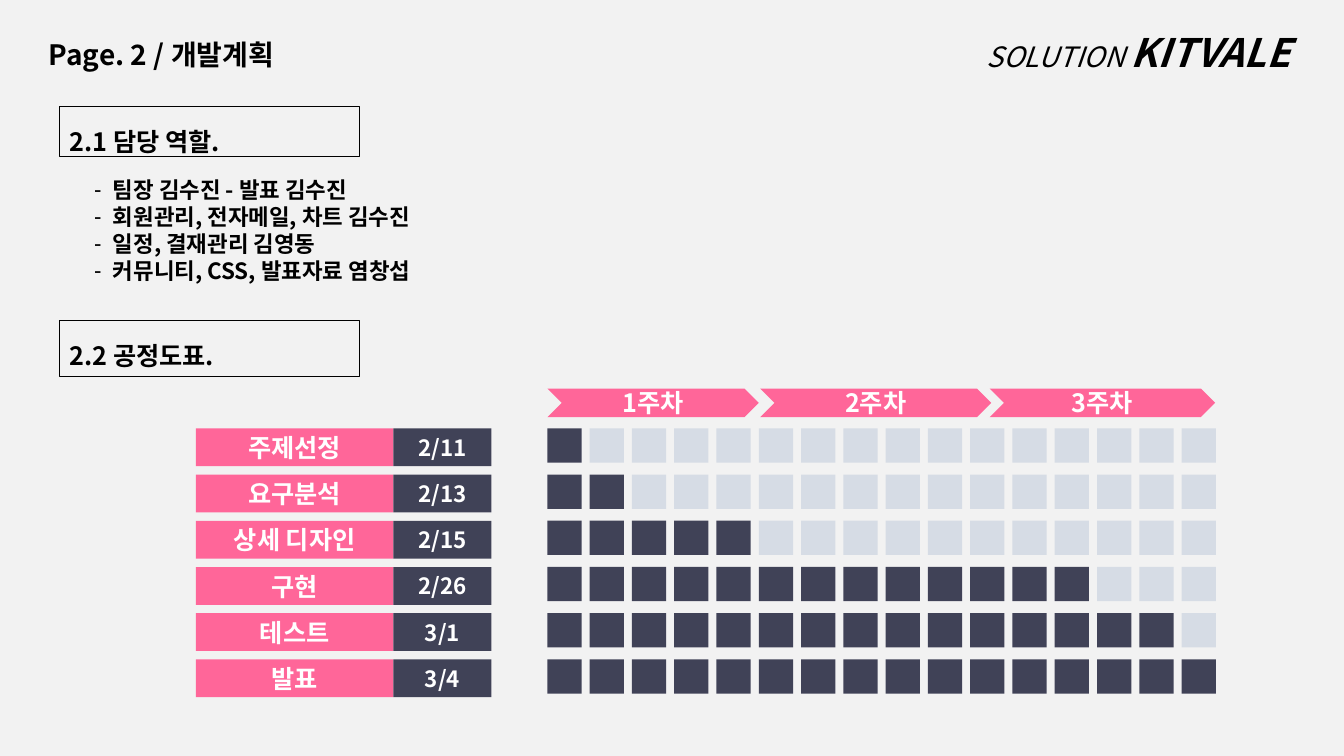
from lxml import etree
from pptx import Presentation
from pptx.dml.color import RGBColor
from pptx.enum import shapes, text
from pptx.oxml import ns
from pptx.util import Pt

FONT = "Noto Sans CJK KR"
BLACK, WHITE, PINK, NAVY, PALE = "000000", "FFFFFF", "FF6699", "404257", "D6DCE5"
CENTER, LEFT = text.PP_ALIGN.CENTER, text.PP_ALIGN.LEFT
TOP, MIDDLE = text.MSO_ANCHOR.TOP, text.MSO_ANCHOR.MIDDLE


def color(hex_code):
    return RGBColor.from_string(hex_code)


def write(frame, lines, size=18, ink=BLACK, bold=True, italic=False, align=LEFT,
          anchor=TOP, spacing=1.0, wrap=True, bullet=None, indent=13.5):
    """Fill a frame with lines; a line is a string or a list of (text, size, bold)."""
    frame.auto_size = text.MSO_AUTO_SIZE.NONE
    frame.word_wrap = wrap
    frame.vertical_anchor = anchor
    for number, line in enumerate(lines):
        para = frame.add_paragraph() if number else frame.paragraphs[0]
        para.alignment, para.line_spacing = align, spacing
        para.space_before = Pt(0)
        parts = [(line, size, bold)] if isinstance(line, str) else line
        for words, part_size, part_bold in parts:
            run = para.add_run()
            run.text = words
            font = run.font
            font.name, font.size = FONT, Pt(part_size)
            font.bold, font.italic = part_bold, italic
            font.color.rgb = color(ink)
            latin = run._r.get_or_add_rPr().find(ns.qn("a:latin"))
            east_asian = etree.Element(ns.qn("a:ea"), typeface=FONT)
            latin.addnext(east_asian)
        if bullet:
            props = para._p.get_or_add_pPr()
            props.set("marL", str(Pt(indent)))
            props.set("indent", str(-Pt(indent)))
            etree.SubElement(props, ns.qn("a:buChar"), char=bullet)


class Page:
    def __init__(self, deck, background):
        self.slide = deck.slides.add_slide(deck.slide_layouts[1])
        self.slide.background.fill.solid()
        self.slide.background.fill.fore_color.rgb = color(background)

    def placeholder(self, index, box, lines, **style):
        holder = self.slide.placeholders[index]
        holder.left, holder.top, holder.width, holder.height = map(Pt, box)
        write(holder.text_frame, lines, **style)

    def label(self, box, lines, **style):
        write(self.slide.shapes.add_textbox(*map(Pt, box)).text_frame, lines, **style)

    def block(self, box, fill=None, line=None, words=None,
              kind=shapes.MSO_SHAPE.RECTANGLE, **style):
        shape = self.slide.shapes.add_shape(kind, *map(Pt, box))
        shape.shadow.inherit = False
        if fill:
            shape.fill.solid()
            shape.fill.fore_color.rgb = color(fill)
        else:
            shape.fill.background()
        if line:
            shape.line.color.rgb = color(line)
            shape.line.width = Pt(0.75)
        else:
            shape.line.fill.background()
        if words:
            write(shape.text_frame, [words], **style)


deck = Presentation()
deck.slide_width, deck.slide_height = Pt(960), Pt(540)
page = Page(deck, "F2F2F2")

# Page heading and solution name
page.placeholder(0, (16, 11.5, 199, 44), ["Page. 2 / 개발계획"],
                 size=20, align=CENTER, spacing=1.5)
page.label((697.5, 0, 262, 52), [[("SOLUTION ", 20, False), ("KITVALE", 28, True)]],
           italic=True, spacing=1.5)

# Section headings
for heading, top, height in (("2.1 담당 역할.", 76, 36), ("2.2 공정도표.", 229, 40)):
    page.block((42.5, top, 214.5, height), line=BLACK, words=heading, spacing=1.5)

# Roles
roles = ["팀장 김수진 - 발표 김수진", "회원관리, 전자메일, 차트 김수진",
         "일정, 결재관리 김영동", "커뮤니티, CSS, 발표자료 염창섭"]
page.placeholder(1, (60, 122.5, 262, 85), roles, size=16, bullet="-")

# Week headers
on_color = dict(ink=WHITE, align=CENTER, anchor=MIDDLE)
for week, (left, width) in enumerate(((391, 151), (543, 165), (707, 161)), 1):
    page.block((left, 277.5, width, 20.5), fill=PINK, words=f"{week}주차",
               kind=shapes.MSO_SHAPE.CHEVRON, wrap=False, **on_color)

# Schedule: task, date and days done
schedule = [("주제선정", "2/11", 1), ("요구분석", "2/13", 2), ("상세 디자인", "2/15", 5),
            ("구현", "2/26", 13), ("테스트", "3/1", 15), ("발표", "3/4", 16)]
DAYS, GRID_LEFT, GRID_TOP, DAY_PITCH, ROW_PITCH, DAY_SIZE = 16, 391, 306, 30.2, 33, 24.5
for row, (task, date, done) in enumerate(schedule):
    top = GRID_TOP + row * ROW_PITCH
    page.block((140, top, 141, 27), fill=PINK, words=task, **on_color)
    page.block((281, top, 70, 27), fill=NAVY, words=date, size=16, **on_color)
    for day in range(DAYS):
        page.block((GRID_LEFT + day * DAY_PITCH, top, DAY_SIZE, DAY_SIZE),
                   fill=NAVY if day < done else PALE)

deck.save("out.pptx")
